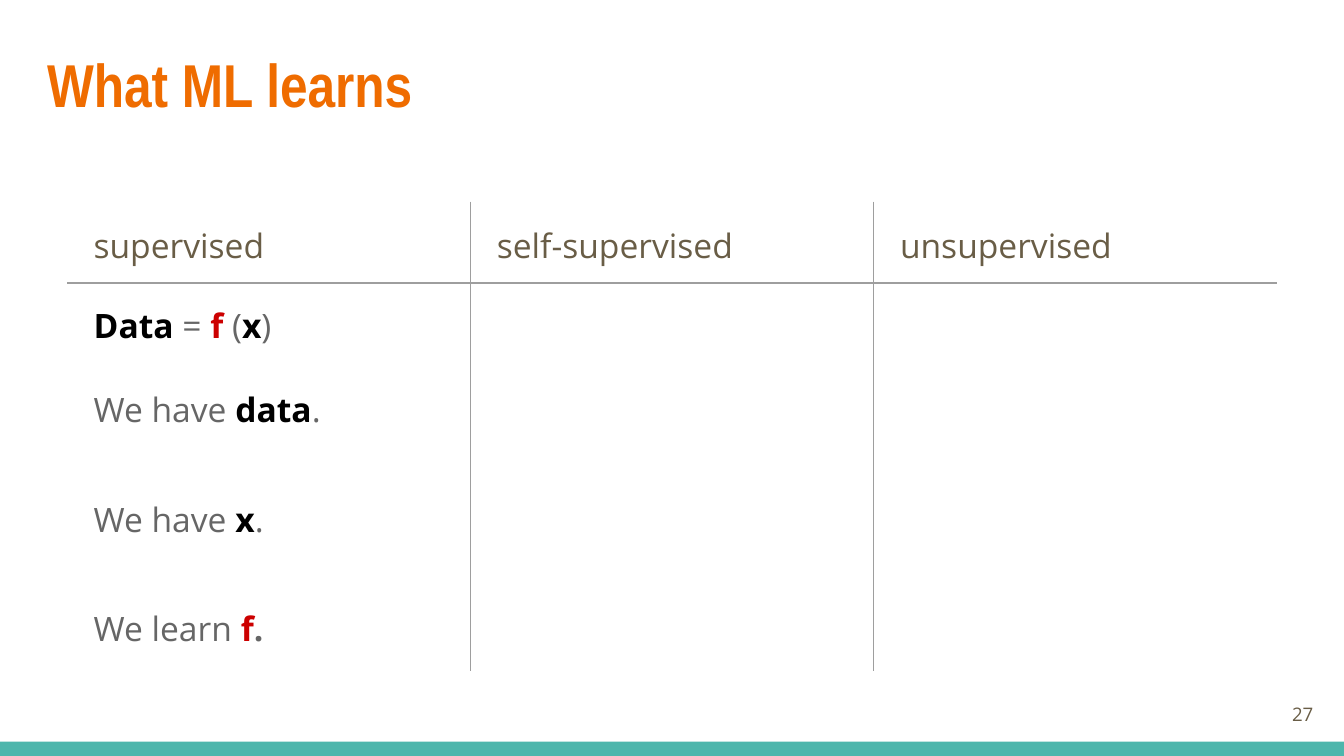
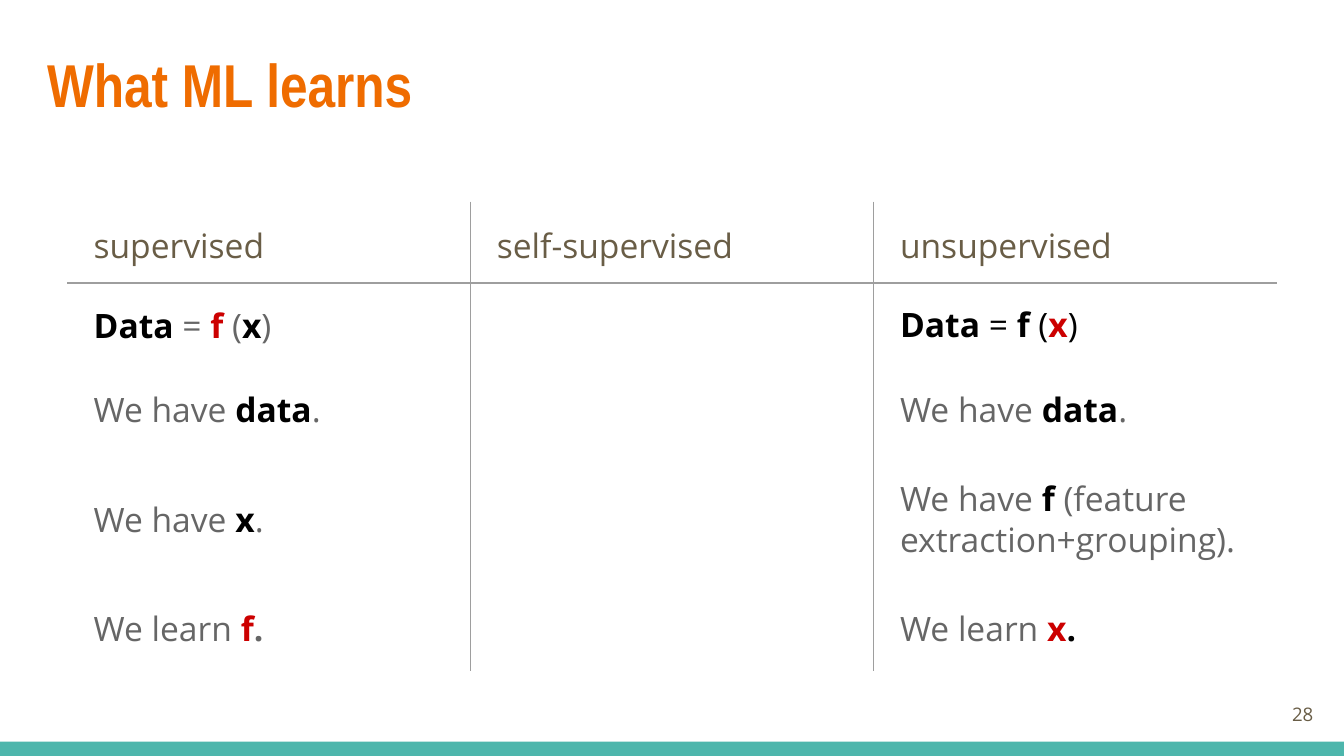
from lxml import etree
from pptx import Presentation
from pptx.dml import color
from pptx.enum import shapes, text
from pptx.oxml import ns
from pptx.util import Cm, Pt

ORANGE, TEAL, BROWN = "EF6C00", "4DB6AC", "695D46"
GREY, BLACK, RED, RULE = "666666", "000000", "CC0000", "9E9E9E"
BODY, HEADING = "Open Sans", "Arial Narrow"
WIDTH, HEIGHT = 25.4, 14.29
INSET = 0.25

LABEL = (BROWN, False)
PLAIN = (GREY, False)
STRONG = (GREY, True)
FIXED = (BLACK, False)
GIVEN = (BLACK, True)
LEARNED = (RED, True)

HEADERS = ["supervised", "self-supervised", "unsupervised"]
ROW_HEIGHTS = [1.54, 1.6, 1.6, 2.54, 1.6]
HAVE_DATA = [("We have ", PLAIN), ("data", GIVEN), (".", PLAIN)]
SUPERVISED = [
    (1, [("Data", GIVEN), (" = ", PLAIN), ("f", LEARNED), (" (", PLAIN),
         ("x", GIVEN), (")", PLAIN)]),
    (1, HAVE_DATA),
    (1, [("We have ", PLAIN), ("x", GIVEN), (".", PLAIN)]),
    (1, [("We learn ", PLAIN), ("f", LEARNED), (".", STRONG)]),
]
UNSUPERVISED = [
    (0.9, [("Data", GIVEN), (" = ", FIXED), ("f", GIVEN), (" (", FIXED),
           ("x", LEARNED), (")", FIXED)]),
    (1, HAVE_DATA),
    (0.9, [("We have ", PLAIN), ("f ", GIVEN),
           ("(feature extraction+grouping).", PLAIN)]),
    (0.9, [("We learn ", PLAIN), ("x", LEARNED), (".", GIVEN)]),
]


def rgb(value):
    return color.RGBColor.from_string(value)


class Lecture:
    def __init__(self):
        self.deck = Presentation()
        self.deck.slide_width = Cm(WIDTH)
        self.deck.slide_height = Cm(HEIGHT)
        self.page = None

    def add_page(self, title, number):
        self.page = self.deck.slides.add_slide(self.deck.slide_layouts[6])
        self.add_band()
        self.add_text(23.55, 12.95, 1.52, 1.09, str(number), BODY, 10, LABEL,
                      text.PP_ALIGN.RIGHT, text.MSO_ANCHOR.MIDDLE)
        self.add_text(0.64, 0.64, 24.13, 1.9, title, HEADING, 32.4, (ORANGE, True))

    def add_band(self):
        band = self.page.shapes.add_shape(
            shapes.MSO_SHAPE.RECTANGLE, 0, Cm(14.02), Cm(WIDTH), Cm(HEIGHT - 14.02))
        band.shadow.inherit = False
        band.fill.solid()
        band.fill.fore_color.rgb = rgb(TEAL)
        band.line.fill.background()

    def add_span(self, para, words, font, size, style):
        span = para.add_run()
        span.text = words
        span.font.name = font
        span.font.size = Pt(size)
        span.font.color.rgb = rgb(style[0])
        span.font.bold = style[1]

    def add_text(self, left, top, width, height, words, font, size, style,
                 align=text.PP_ALIGN.LEFT, anchor=text.MSO_ANCHOR.TOP):
        box = self.page.shapes.add_textbox(Cm(left), Cm(top), Cm(width), Cm(height))
        frame = box.text_frame
        frame.word_wrap = True
        frame.vertical_anchor = anchor
        frame.margin_left = frame.margin_right = Cm(INSET)
        frame.margin_top = frame.margin_bottom = Cm(INSET)
        para = frame.paragraphs[0]
        para.alignment = align
        self.add_span(para, words, font, size, style)

    def add_border(self, cell, side, visible):
        line = etree.SubElement(cell._tc.get_or_add_tcPr(), ns.qn(f"a:ln{side}"))
        if visible:
            line.set("w", str(Pt(0.75)))
            fill = etree.SubElement(line, ns.qn("a:solidFill"))
            etree.SubElement(fill, ns.qn("a:srgbClr")).set("val", RULE)
        else:
            etree.SubElement(line, ns.qn("a:noFill"))

    def fill_cell(self, cell, spacing, spans):
        para = cell.text_frame.paragraphs[0]
        para.line_spacing = spacing
        properties = para._p.get_or_add_pPr()
        properties.set("marL", str(Cm(INSET)))
        properties.set("indent", "0")
        for words, style in spans:
            self.add_span(para, words, BODY, 18, style)

    def add_table(self, columns):
        count = len(columns)
        table = self.page.shapes.add_table(
            len(ROW_HEIGHTS), count, Cm(1.27), Cm(3.81),
            Cm(7.62 * count), Cm(sum(ROW_HEIGHTS))).table
        table.first_row = table.horz_banding = False
        for row, height in zip(table.rows, ROW_HEIGHTS):
            row.height = Cm(height)
        for c, (header, body) in enumerate(zip(HEADERS, columns)):
            table.columns[c].width = Cm(7.62)
            for r in range(len(ROW_HEIGHTS)):
                cell = table.cell(r, c)
                cell.vertical_anchor = text.MSO_ANCHOR.MIDDLE
                cell.margin_left = cell.margin_right = Cm(INSET)
                cell.margin_top = cell.margin_bottom = Cm(INSET)
                self.add_border(cell, "L", c > 0)
                self.add_border(cell, "R", c < count - 1)
                self.add_border(cell, "T", r == 1)
                self.add_border(cell, "B", r == 0)
                cell.fill.background()
            heading = table.cell(0, c)
            self.fill_cell(heading, 1.15, [(header, LABEL)])
            heading.text_frame.paragraphs[0].space_after = Pt(12)
            for r, (spacing, spans) in enumerate(body, 1):
                self.fill_cell(table.cell(r, c), spacing, spans)


def main():
    lecture = Lecture()
    for number, unsupervised in [(27, []), (28, UNSUPERVISED)]:
        lecture.add_page("What ML learns", number)
        lecture.add_table([SUPERVISED, [], unsupervised])
    lecture.deck.save("out.pptx")


if __name__ == "__main__":
    main()
